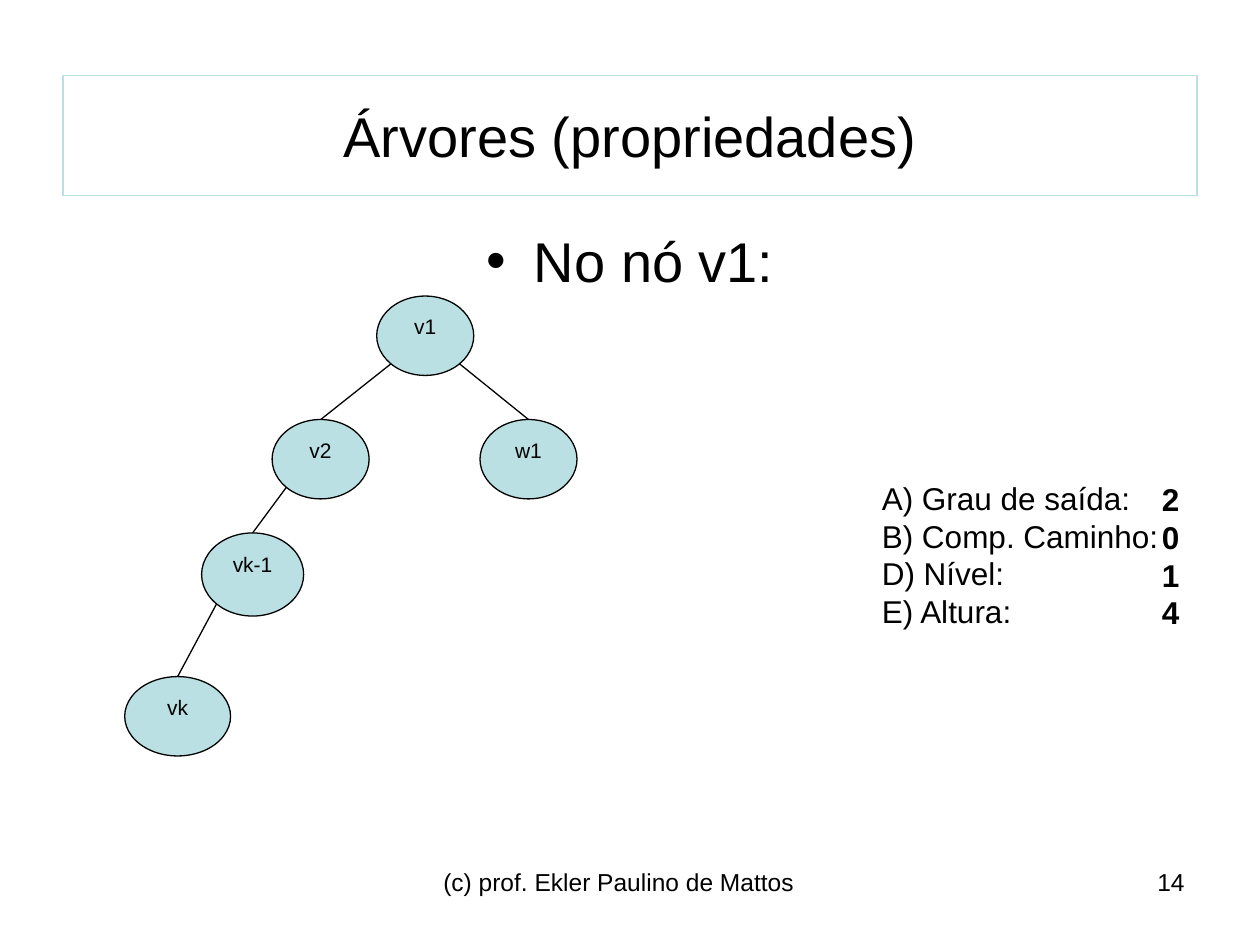
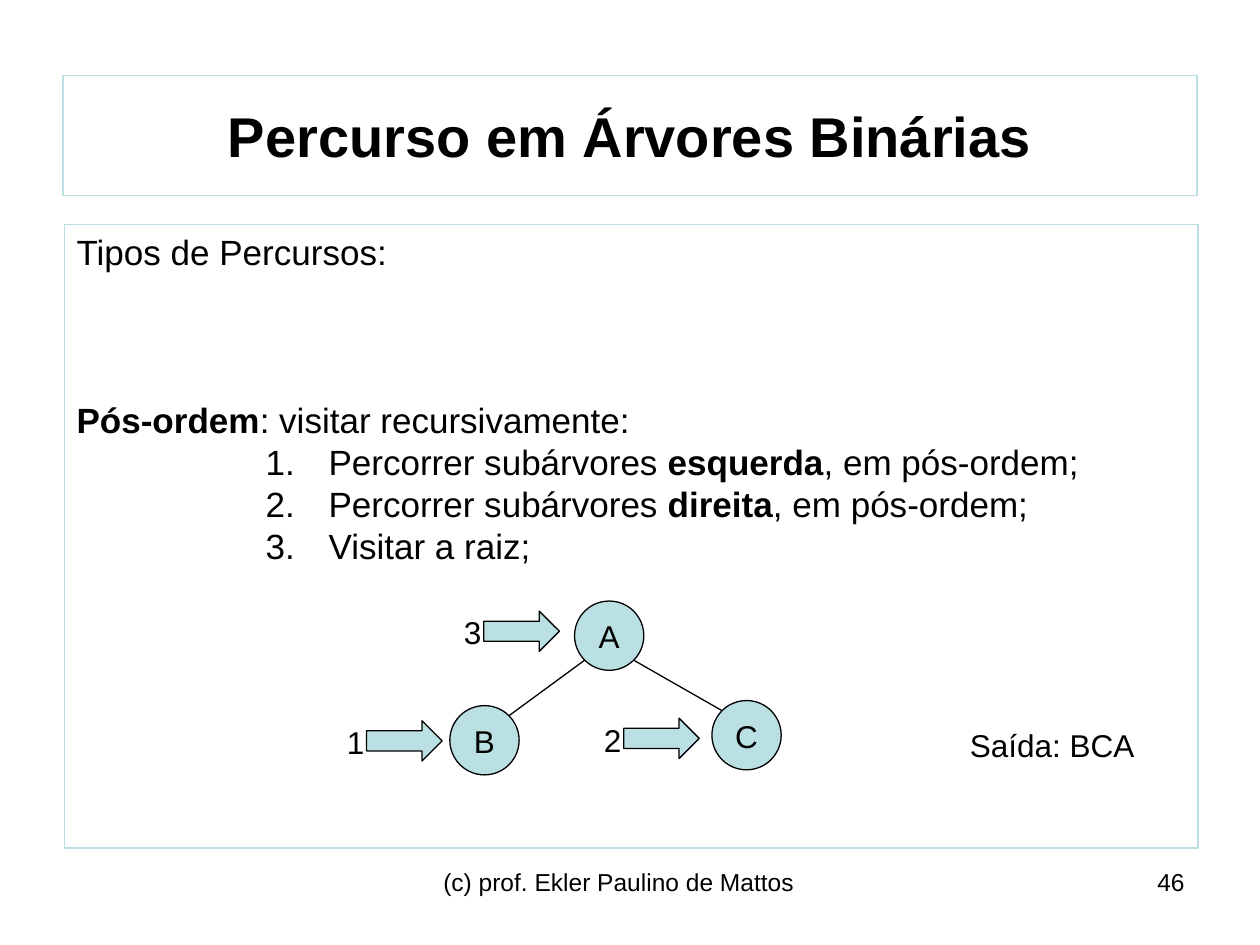
from lxml import etree
from pptx import Presentation
from pptx import util as u
from pptx.dml.color import RGBColor
from pptx.enum import shapes, text
from pptx.oxml import ns

BLACK = RGBColor(0x00, 0x00, 0x00)
AQUA = RGBColor(0xBB, 0xE0, 0xE3)
FONT = "Arial"
DIAGONAL = 0.5 ** 0.5
LEFT, CENTER = text.PP_ALIGN.LEFT, text.PP_ALIGN.CENTER
RIGHT, JUSTIFY = text.PP_ALIGN.RIGHT, text.PP_ALIGN.JUSTIFY
MIDDLE, TOP = text.MSO_ANCHOR.MIDDLE, text.MSO_ANCHOR.TOP
OVAL, ARROW = shapes.MSO_SHAPE.OVAL, shapes.MSO_SHAPE.RIGHT_ARROW
RECTANGLE = shapes.MSO_SHAPE.RECTANGLE


def put(parent, box, lines=(), size=18, align=CENTER, preset=None,
        fill=None, line=BLACK, anchor=TOP, wrap=True):
    """Add a text box or preset shape; words between asterisks are bold."""
    place = [u.Inches(length) for length in box]
    if preset is None:
        item = parent.add_textbox(*place)
    else:
        item = parent.add_shape(preset, *place)
        item.shadow.inherit = False
        item.line.color.rgb = line
        item.line.width = u.Pt(0.75)
        if fill is None:
            item.fill.background()
        else:
            item.fill.solid()
            item.fill.fore_color.rgb = fill
    frame = item.text_frame
    frame.word_wrap = wrap
    frame.vertical_anchor = anchor
    if not wrap:
        frame.auto_size = text.MSO_AUTO_SIZE.SHAPE_TO_FIT_TEXT
    for index, words in enumerate(lines):
        paragraph = frame.add_paragraph() if index else frame.paragraphs[0]
        paragraph.alignment = align
        for part, piece in enumerate(words.split("*")):
            if piece:
                run = paragraph.add_run()
                run.text = piece
                look = {"name": FONT, "size": u.Pt(size), "bold": part % 2 == 1}
                for key, value in look.items():
                    setattr(run.font, key, value)
                run.font.color.rgb = BLACK
    return item


def add_edge(parent, upper, lower, side, to_corner):
    """Join a node's lower corner (side -1 left, 1 right) to its child."""
    x, y, w, h = upper
    cx, cy, cw, ch = lower
    start = (x + w / 2 * (1 + side * DIAGONAL), y + h / 2 * (1 + DIAGONAL))
    end = (cx + cw / 2, cy)
    if to_corner:
        end = (cx + cw / 2 * (1 - side * DIAGONAL), cy + ch / 2 * (1 - DIAGONAL))
    edge = parent.add_connector(shapes.MSO_CONNECTOR.STRAIGHT,
                                *[u.Inches(length) for length in start + end])
    edge.line.color.rgb = BLACK
    edge.line.width = u.Pt(0.75)
    etree.SubElement(edge._element.spPr, ns.qn("a:effectLst"))


deck = Presentation()
deck.slide_width, deck.slide_height = u.Inches(10), u.Inches(7.5)

# Title, footer and page number on every slide
pages = []
for title, number in [("Árvores (propriedades)", "14"),
                      ("*Percurso em Árvores Binárias*", "46")]:
    page = deck.slides.add_slide(deck.slide_layouts[6]).shapes
    put(page, (0.5, 0.6, 9, 0.95), [title], 32, preset=RECTANGLE,
        line=AQUA, anchor=MIDDLE)
    put(page, (3.42, 6.83, 3.17, 0.52), ["(c) prof. Ekler Paulino de Mattos"], 14, LEFT)
    put(page, (7.17, 6.83, 2.33, 0.52), [number], 14, RIGHT)
    pages.append(page)
properties, traversal = pages

# Slide 1: heading with bullet, property names and their values
heading = put(properties, (0.5, 1.75, 9, 4.95), ["No nó v1:"], 32).text_frame.paragraphs[0]
heading.space_before = u.Pt(6.4)
put(properties, (6.9, 3.75, 4.48, 1.31),
    ["A) Grau de saída:", "B) Comp. Caminho:", "D) Nível:", "E) Altura:"], align=JUSTIFY)
put(properties, (8.62, 3.76, 1.34, 1.31), ["*2*", "*0*", "*1*", "*4*"])

# Slide 2: definition of the traversal
definition = put(traversal, (0.51, 1.78, 9, 4.95), [
    "Tipos de Percursos:",
    "*Pós-ordem*: visitar recursivamente:",
    "Percorrer subárvores *esquerda*, em pós-ordem;",
    "Percorrer subárvores *direita*, em pós-ordem;",
    "Visitar a raiz;",
], 20, JUSTIFY, RECTANGLE, line=AQUA).text_frame.paragraphs
definition[1].space_before = u.Pt(72)
for step in definition[2:]:
    step.level = 3

# Bullet of the heading and numbers of the steps
markers = [(heading, 0.38, -0.38, "a:buChar", {"char": "•"})]
markers += [(step, 2, -0.5, "a:buAutoNum", {"type": "arabicPeriod"})
            for step in definition[2:]]
for paragraph, margin, indent, tag, settings in markers:
    props = paragraph._p.get_or_add_pPr()
    props.set("marL", str(u.Inches(margin)))
    props.set("indent", str(u.Inches(indent)))
    etree.SubElement(props, ns.qn("a:buFont"), typeface=FONT)
    etree.SubElement(props, ns.qn(tag), settings)

# Trees: nodes by label, then edges as (parent, child, side)
path_nodes = {
    "v1": (2.99, 2.35, 0.77, 0.63),
    "v2": (2.16, 3.33, 0.77, 0.63),
    "w1": (3.81, 3.33, 0.77, 0.63),
    "vk-1": (1.6, 4.23, 0.81, 0.66),
    "vk": (0.99, 5.37, 0.84, 0.63),
}
path_edges = [("v1", "v2", -1), ("v1", "w1", 1), ("v2", "vk-1", -1), ("vk-1", "vk", -1)]
binary_nodes = {
    "A": (4.56, 4.77, 0.55, 0.55),
    "B": (3.57, 5.6, 0.55, 0.55),
    "C": (5.65, 5.56, 0.55, 0.55),
}
binary_edges = [("A", "B", -1), ("A", "C", 1)]
for parent, nodes, edges, size, to_corner in [
        (properties.add_group_shape().shapes, path_nodes, path_edges, 12, False),
        (traversal, binary_nodes, binary_edges, 18, True)]:
    for upper, lower, side in edges:
        add_edge(parent, nodes[upper], nodes[lower], side, to_corner)
    for label, box in nodes.items():
        put(parent, box, [label], size, preset=OVAL, fill=AQUA)

# Visiting order: number and arrow before each node
for order, left, top in [("3", 3.58, 4.82), ("1", 2.65, 5.69), ("2", 4.69, 5.67)]:
    visit = traversal.add_group_shape().shapes
    put(visit, (left + 0.26, top + 0.03, 0.6, 0.32), preset=ARROW, fill=AQUA)
    put(visit, (left, top, 0.34, 0.4), [order], align=RIGHT, wrap=False)
put(traversal, (7.59, 5.71, 1.52, 0.4), ["Saída: BCA"], wrap=False)

deck.save("out.pptx")
